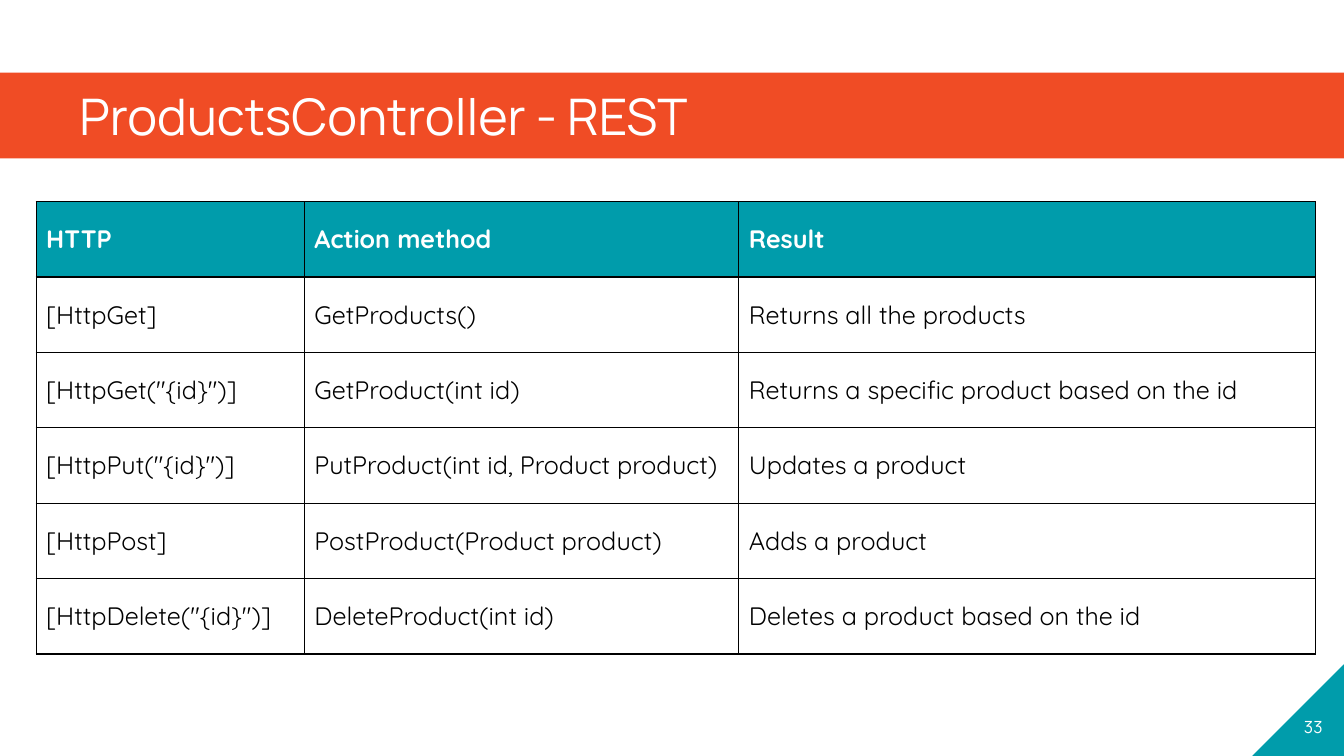
from lxml.etree import SubElement
from pptx import Presentation
from pptx.dml.color import RGBColor
from pptx.enum.shapes import MSO_SHAPE as Shape
from pptx.enum.text import MSO_ANCHOR as Anchor, PP_ALIGN as Align
from pptx.oxml.ns import qn
from pptx.util import Cm, Pt

SLIDE_WIDTH, SLIDE_HEIGHT = 33.87, 19.05
CORNER = 2.31
COLUMN_WIDTHS = [6.76, 10.95, 14.53]
ROW_HEIGHT = 1.9
METHODS = [
    ("HTTP", "Action method", "Result"),
    ("[HttpGet]", "GetProducts()", "Returns all the products"),
    ('[HttpGet("{id}")]', "GetProduct(int id)", "Returns a specific product based on the id"),
    ('[HttpPut("{id}")]', "PutProduct(int id, Product product)", "Updates a product"),
    ("[HttpPost]", "PostProduct(Product product)", "Adds a product"),
    ('[HttpDelete("{id}")]', "DeleteProduct(int id)", "Deletes a product based on the id"),
]


def color(value):
    return RGBColor.from_string(value)


def apply(target, values):
    for name, value in values.items():
        setattr(target, name, value)


class SlideBuilder:
    heading_font, body_font = "Manrope", "Quicksand"
    orange, teal, white, black = "F04C25", "009CAB", "FFFFFF", "000000"

    def __init__(self, slide):
        self.slide = slide

    def add_text(self, paragraph, text, size, font, ink, bold=False):
        run = paragraph.add_run()
        run.text = text
        apply(run.font, {"size": Pt(size), "name": font, "bold": bold})
        run.font.color.rgb = color(ink)
        return run

    def panel(self, kind, box, fill, text, size, align, frame_format):
        panel = self.slide.shapes.add_shape(kind, *map(Cm, box))
        panel.shadow.inherit = False
        panel.fill.solid()
        panel.fill.fore_color.rgb = color(fill)
        panel.line.fill.background()
        apply(panel.text_frame, {"margin_top": 0, "word_wrap": False, **frame_format})
        paragraph = panel.text_frame.paragraphs[0]
        paragraph.alignment = align
        run = self.add_text(paragraph, text, size, self.heading_font, self.white)
        return panel, run

    def title(self, text):
        self.panel(Shape.RECTANGLE, (0, 1.83, SLIDE_WIDTH, 2.16), self.orange, text, 36, Align.LEFT, {
            "margin_left": Cm(2), "margin_right": Cm(2), "margin_bottom": 0,
            "vertical_anchor": Anchor.MIDDLE,
        })

    def page_number(self, text):
        box = (SLIDE_WIDTH - CORNER, SLIDE_HEIGHT - CORNER, CORNER, CORNER)
        corner, number = self.panel(Shape.RIGHT_TRIANGLE, box, self.teal, text, 12, Align.CENTER, {
            "margin_left": 0, "margin_right": 0, "margin_bottom": Cm(0.3),
            "vertical_anchor": Anchor.BOTTOM,
        })
        corner.element.spPr.find(qn("a:xfrm")).set("flipH", "1")
        number.font._element.set("spc", "20")

    def cell_borders(self, cell):
        properties = cell._tc.get_or_add_tcPr()
        for index, side in enumerate(("lnL", "lnR", "lnT", "lnB")):
            border = properties.makeelement(qn(f"a:{side}"), {"w": str(Pt(1))})
            fill = SubElement(border, qn("a:solidFill"))
            SubElement(fill, qn("a:srgbClr"), val=self.black)
            properties.insert(index, border)

    def table(self, left, top, widths, row_height, rows):
        frame = self.slide.shapes.add_table(
            len(rows), len(widths), Cm(left), Cm(top), Cm(sum(widths)), Cm(row_height * len(rows)))
        table = frame.table
        apply(table, {"first_row": False, "horz_banding": False})
        for column, width in zip(table.columns, widths):
            column.width = Cm(width)
        for row_index, (row, texts) in enumerate(zip(table.rows, rows)):
            row.height = Cm(row_height)
            header = row_index == 0
            for cell, text in zip(row.cells, texts):
                cell.vertical_anchor = Anchor.MIDDLE
                cell.fill.solid()
                cell.fill.fore_color.rgb = color(self.teal if header else self.white)
                self.cell_borders(cell)
                ink = self.white if header else self.black
                self.add_text(cell.text_frame.paragraphs[0], text, 18, self.body_font, ink, header)


def main():
    presentation = Presentation()
    apply(presentation, {"slide_width": Cm(SLIDE_WIDTH), "slide_height": Cm(SLIDE_HEIGHT)})
    builder = SlideBuilder(presentation.slides.add_slide(presentation.slide_layouts[6]))
    builder.title("ProductsController - REST")
    builder.page_number("33")
    builder.table(0.91, 5.08, COLUMN_WIDTHS, ROW_HEIGHT, METHODS)
    presentation.save("out.pptx")


if __name__ == "__main__":
    main()
